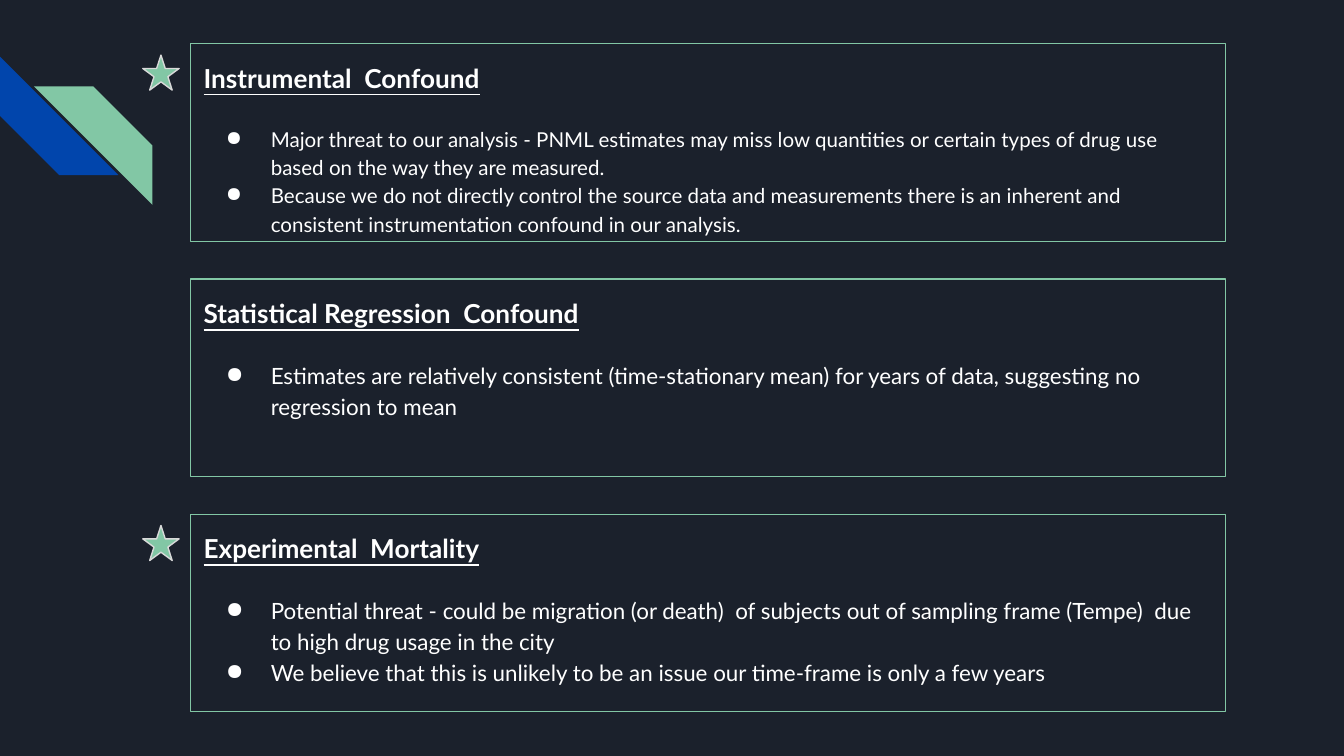
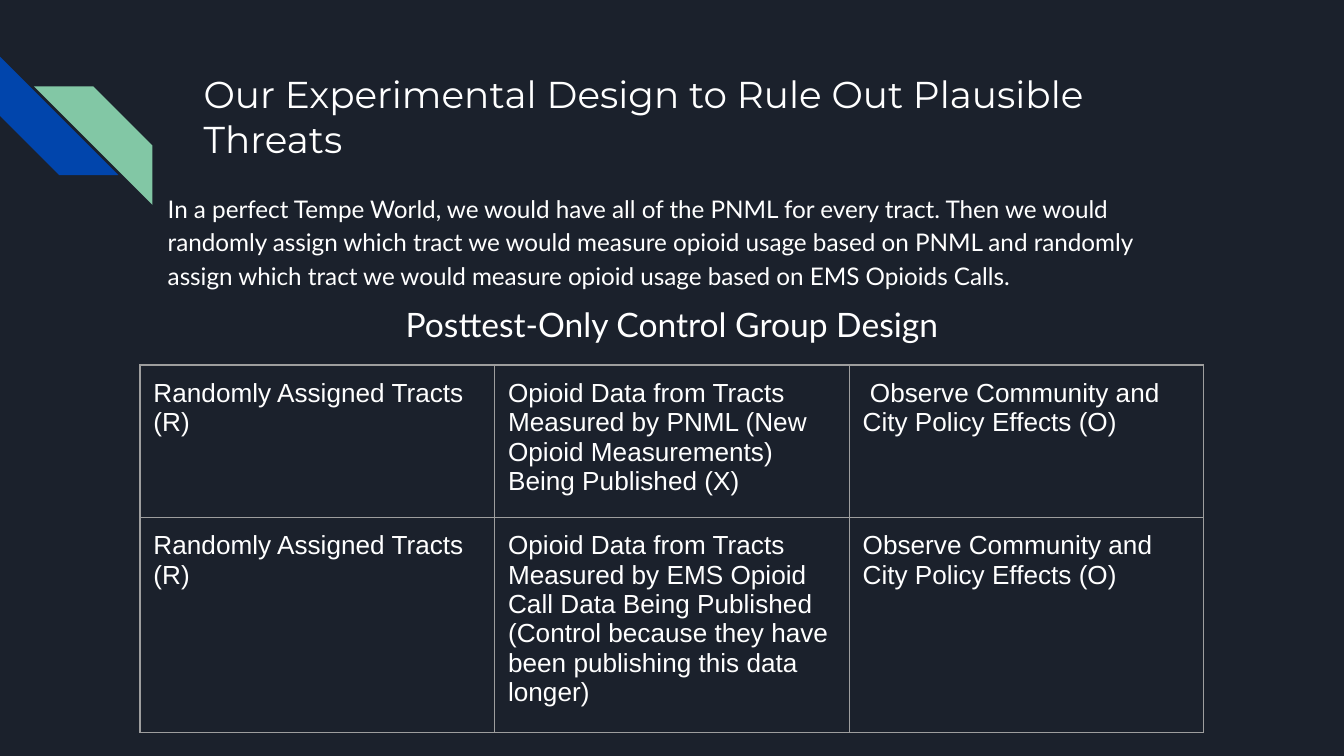
from lxml.etree import SubElement
from pptx import Presentation
from pptx.dml.color import RGBColor
from pptx.enum.shapes import MSO_SHAPE as Shape
from pptx.enum.text import MSO_ANCHOR as Anchor, PP_ALIGN as Align
from pptx.oxml.ns import qn
from pptx.util import Pt

NAVY, BLUE, GREEN = "1B212C", "0145AC", "82C7A5"
WHITE, PALE, GREY = "FFFFFF", "D9D9D9", "9E9E9E"
INSET = 7.2
rgb = RGBColor.from_string


def place(s, kind, x, y, w, h, fill=None, line=None):
    box = [Pt(v) for v in (x, y, w, h)]
    if kind is None:
        sp = s.shapes.add_textbox(*box)
    else:
        sp = s.shapes.add_shape(kind, *box)
        sp.shadow.inherit = False
    if fill:
        sp.fill.solid()
        sp.fill.fore_color.rgb = rgb(fill)
    else:
        sp.fill.background()
    if line:
        sp.line.color.rgb = rgb(line)
        sp.line.width = Pt(0.75)
    else:
        sp.line.fill.background()
    tf = sp.text_frame
    tf.word_wrap = True
    tf.vertical_anchor = Anchor.TOP
    tf.margin_left = tf.margin_right = tf.margin_top = tf.margin_bottom = Pt(INSET)
    return sp


def write(tf, text, size, font="Lato", bold=False, underline=False, align=Align.LEFT,
          spacing=None, before=0, after=0, bullet=False):
    p = tf.add_paragraph() if tf.text else tf.paragraphs[0]
    p.alignment = align
    p.space_before, p.space_after = Pt(before), Pt(after)
    if spacing:
        p.line_spacing = spacing
    if bullet:
        pPr = p._p.get_or_add_pPr()
        pPr.set("marL", str(Pt(36)))
        pPr.set("indent", str(Pt(-24)))
        SubElement(SubElement(pPr, qn("a:buClr")), qn("a:srgbClr"), val=WHITE)
        SubElement(pPr, qn("a:buChar"), char="●")
    r = p.add_run()
    r.text = text
    r.font.name, r.font.size = font, Pt(size)
    r.font.bold, r.font.underline = bold, underline
    r.font.color.rgb = rgb(WHITE)


prs = Presentation()
prs.slide_width, prs.slide_height = Pt(720), Pt(405)
bg = prs.slide_master.background.fill
bg.solid()
bg.fore_color.rgb = rgb(NAVY)

slides = [prs.slides.add_slide(prs.slide_layouts[6]) for _ in range(2)]
for s in slides:
    blue = place(s, Shape.DIAGONAL_STRIPE, 0, 30.3, 63.5, 63.5, fill=BLUE)
    blue.rotation = 270
    green = place(s, Shape.DIAGONAL_STRIPE, 18.2, 46.3, 63.5, 63.5, fill=GREEN)
    green._element.spPr.find(qn("a:xfrm")).set("flipH", "1")

threats, design = slides

panels = [
    ("Instrumental  Confound", 11, True, [
        "Major threat to our analysis - PNML estimates may miss low quantities or certain "
        "types of drug use based on the way they are measured.",
        "Because we do not directly control the source data and measurements there is an "
        "inherent and consistent instrumentation confound in our analysis."]),
    ("Statistical Regression  Confound", 12, False, [
        "Estimates are relatively consistent (time-stationary mean) for years of data, "
        "suggesting no regression to mean"]),
    ("Experimental  Mortality", 12, True, [
        "Potential threat - could be migration (or death)  of subjects out of sampling frame "
        "(Tempe)  due to high drug usage in the city",
        "We believe that this is unlikely to be an issue our time-frame is only a few years"]),
]
for i, (heading, size, starred, points) in enumerate(panels):
    top = 23.5 + 126 * i
    tf = place(threats, Shape.RECTANGLE, 102, top, 554.5, 105.8, line=GREEN).text_frame
    write(tf, heading, 14, bold=True, underline=True, spacing=1.15)
    for j, point in enumerate(points):
        write(tf, point, size, spacing=1.15, before=0 if j else 16, bullet=True)
    if starred:
        place(threats, Shape.STAR_5_POINT, 76.5, top + 6, 19.5, 18.8, fill=GREEN, line=PALE)

title = place(design, None, 102, 31, 554.5, 72)
write(title.text_frame, "Our Experimental Design to Rule Out Plausible Threats", 20, font="Montserrat")
intro = place(design, None, 82.8, 94.3, 554.5, 72)
write(intro.text_frame,
      "In a perfect Tempe World, we would have all of the PNML for every tract. Then we would "
      "randomly assign which tract we would measure opioid usage based on PNML and randomly "
      "assign which tract we would measure opioid usage based on EMS Opioids Calls.",
      13, spacing=1.15, after=16)
subtitle = place(design, None, 96, 155.5, 528, 39.6)
write(subtitle.text_frame, "Posttest-Only Control Group Design", 18, align=Align.CENTER)

rows = [
    ["Randomly Assigned Tracts (R)",
     "Opioid Data from Tracts Measured by PNML (New Opioid Measurements) Being Published (X)",
     " Observe Community and City Policy Effects (O)"],
    ["Randomly Assigned Tracts (R)",
     "Opioid Data from Tracts Measured by EMS Opioid Call Data Being Published "
     "(Control because they have been publishing this data longer)",
     "Observe Community and City Policy Effects (O)"],
]
heights = [77.2, 108.8]
table = design.shapes.add_table(2, 3, Pt(75), Pt(195.6), Pt(570), Pt(sum(heights))).table
table.first_row = table.horz_banding = False
for col in table.columns:
    col.width = Pt(190)
for row, height, texts in zip(table.rows, heights, rows):
    row.height = Pt(height)
    for cell, text in zip(row.cells, texts):
        cell.margin_left = cell.margin_right = cell.margin_top = cell.margin_bottom = Pt(INSET)
        write(cell.text_frame, text, 14, font="Arial")
        tcPr = cell._tc.get_or_add_tcPr()
        for side in ("lnL", "lnR", "lnT", "lnB"):
            ln = SubElement(tcPr, qn(f"a:{side}"), w=str(Pt(0.75)))
            SubElement(SubElement(ln, qn("a:solidFill")), qn("a:srgbClr"), val=GREY)
        cell.fill.background()

prs.save("out.pptx")
